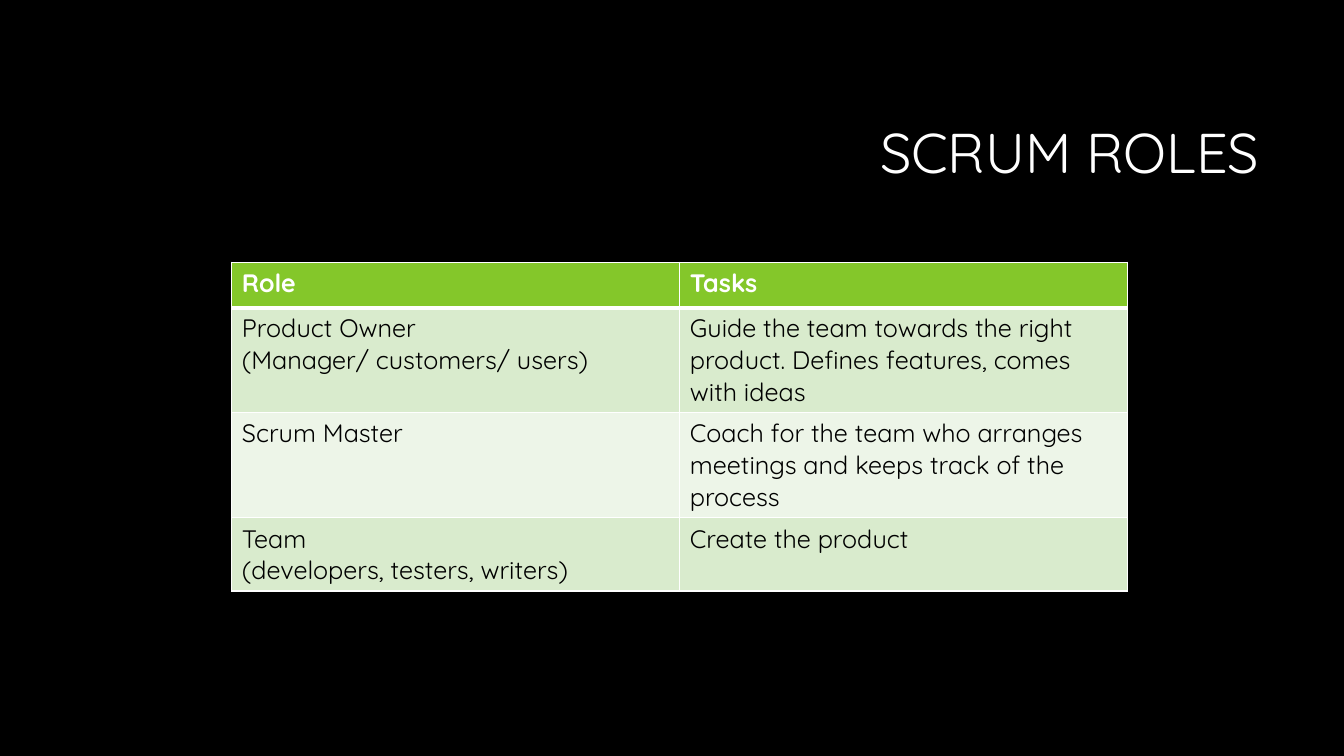
from dataclasses import dataclass

from lxml import etree
from pptx import Presentation
from pptx.dml.color import RGBColor
from pptx.enum.text import MSO_ANCHOR, PP_ALIGN
from pptx.oxml.ns import qn
from pptx.util import Inches, Pt

MIDDLE = MSO_ANCHOR.MIDDLE
LEFT = PP_ALIGN.LEFT
RIGHT = PP_ALIGN.RIGHT


@dataclass(frozen=True)
class Theme:
    """Colours, font and type sizes of the slide."""

    font: str = "Quicksand"
    background: str = "000000"
    light: str = "FFFFFF"
    dark: str = "000000"
    header: str = "84C72A"
    bands: tuple = ("D9EBCD", "EDF5E8")
    title_size: int = 40
    body_size: int = 18
    thin: int = 1
    thick: int = 3


class SlideBuilder:
    """Draws styled elements, with lengths in percent of the slide size."""

    def __init__(self, presentation, theme):
        self.presentation = presentation
        self.theme = theme
        self.slide = presentation.slides.add_slide(presentation.slide_layouts[6])
        self.paint(self.slide.background.fill, theme.background)

    def across(self, percent):
        """Turn a share of the slide width into a length."""
        return round(self.presentation.slide_width * percent / 100)

    def down(self, percent):
        """Turn a share of the slide height into a length."""
        return round(self.presentation.slide_height * percent / 100)

    def paint(self, fill, color):
        """Give a fill one solid colour."""
        fill.solid()
        fill.fore_color.rgb = RGBColor.from_string(color)

    def set_text(self, text_frame, text, size, color, bold=False, align=LEFT, spacing=1.0):
        """Set each line of the text as a styled paragraph."""
        text_frame.text = text
        paragraph_format = {"alignment": align, "line_spacing": spacing}
        font_format = {"name": self.theme.font, "size": Pt(size), "bold": bold}
        for paragraph in text_frame.paragraphs:
            for name, value in paragraph_format.items():
                setattr(paragraph, name, value)
            font = paragraph.runs[0].font
            for name, value in font_format.items():
                setattr(font, name, value)
            font.color.rgb = RGBColor.from_string(color)

    def title(self, text, left, top, width, height):
        """Add the right-aligned slide title."""
        shape = self.slide.shapes.add_textbox(
            self.across(left), self.down(top), self.across(width), self.down(height)
        )
        frame_format = {"word_wrap": True, "vertical_anchor": MIDDLE}
        for name, value in frame_format.items():
            setattr(shape.text_frame, name, value)
        self.set_text(shape.text_frame, text, self.theme.title_size, self.theme.light,
                      align=RIGHT, spacing=0.9)

    def border(self, cell, widths):
        """Draw the cell borders, ordered left, right, top and bottom."""
        properties = cell._tc.get_or_add_tcPr()
        for index, (side, width) in enumerate(zip("LRTB", widths)):
            line = etree.Element(qn(f"a:ln{side}"), w=str(Pt(width)))
            fill = etree.SubElement(line, qn("a:solidFill"))
            etree.SubElement(fill, qn("a:srgbClr"), val=self.theme.light)
            properties.insert(index, line)

    def table(self, rows, left, top, width, row_heights):
        """Add a banded table with a bold header row."""
        theme = self.theme
        table = self.slide.shapes.add_table(
            len(rows), len(rows[0]), self.across(left), self.down(top),
            self.across(width), self.down(sum(row_heights))
        ).table
        for row_index, (texts, height) in enumerate(zip(rows, row_heights)):
            table.rows[row_index].height = self.down(height)
            is_header = row_index == 0
            fill = theme.header if is_header else theme.bands[(row_index - 1) % 2]
            color = theme.light if is_header else theme.dark
            above = theme.thick if row_index == 1 else theme.thin
            below = theme.thick if is_header else theme.thin
            for column_index, text in enumerate(texts):
                cell = table.cell(row_index, column_index)
                self.paint(cell.fill, fill)
                self.border(cell, (theme.thin, theme.thin, above, below))
                self.set_text(cell.text_frame, text, theme.body_size, color, bold=is_header)


def main():
    """Build and save the Scrum roles slide."""
    presentation = Presentation()
    presentation.slide_width = Inches(13.33)
    presentation.slide_height = Inches(7.5)
    builder = SlideBuilder(presentation, Theme())
    builder.title("SCRUM ROLES", left=23.78, top=11.2, width=70.67, height=18.8)
    roles = [
        ("Role", "Tasks"),
        ("Product Owner\n(Manager/ customers/ users)",
         "Guide the team towards the right product. Defines features, comes with ideas"),
        ("Scrum Master",
         "Coach for the team who arranges meetings and keeps track of the process"),
        ("Team\n(developers, testers, writers)", "Create the product"),
    ]
    builder.table(roles, left=17.25, top=34.7, width=66.67,
                  row_heights=(6, 13.9, 13.9, 9.7))
    presentation.save("out.pptx")


if __name__ == "__main__":
    main()
